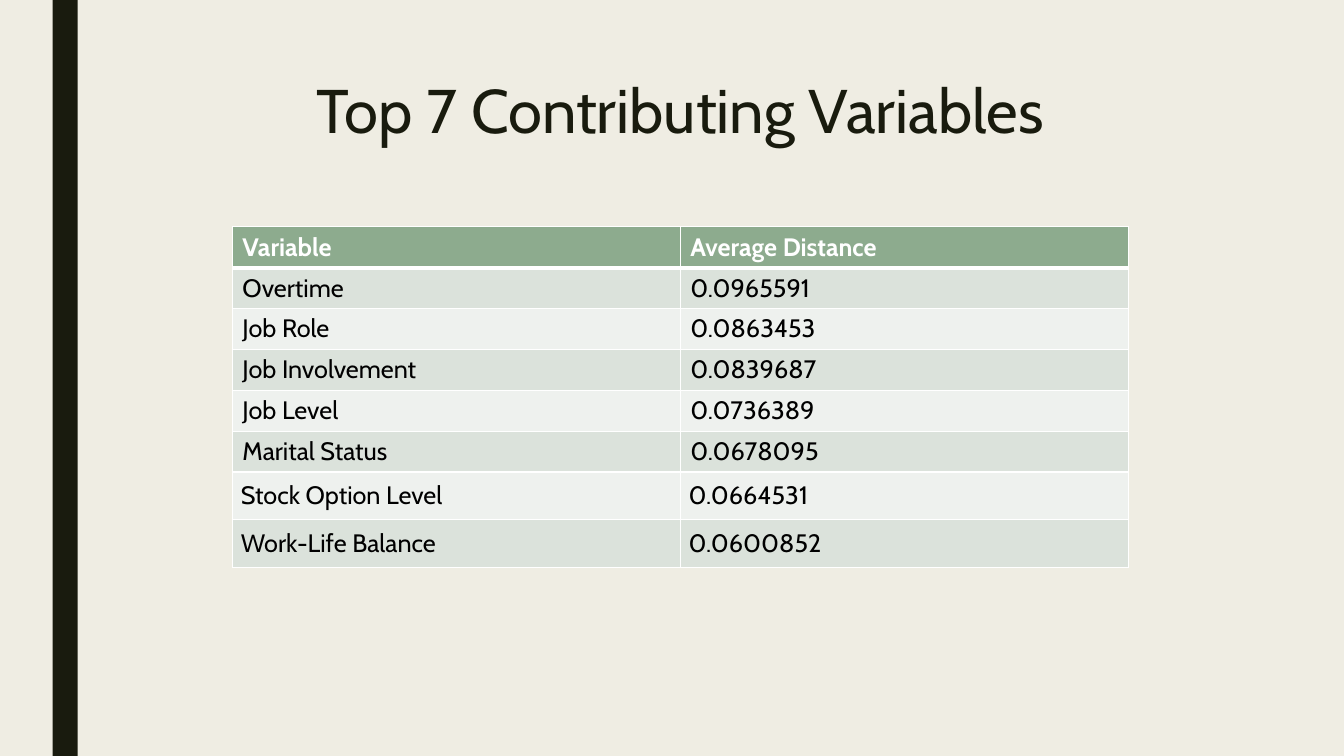
import pptx
import pptx.util
import pptx.dml.color
import pptx.enum.shapes
import pptx.enum.text
import pptx.oxml
import pptx.oxml.ns

Pt = pptx.util.Pt
FONT = "Cabin"
CREAM, DARK, WHITE, BLACK = "EFEDE3", "191B0E", "FFFFFF", "000000"
HEADER_GREEN, BANDS = "8DAB8E", ("DBE2DB", "EEF1EE")

ROWS = [
    ("Variable", "Average Distance"),
    ("Overtime", "0.0965591"),
    ("Job Role", "0.0863453"),
    ("Job Involvement", "0.0839687"),
    ("Job Level", "0.0736389"),
    ("Marital Status", "0.0678095"),
    ("Stock Option Level", "0.0664531"),
    ("Work-Life Balance", "0.0600852"),
]
TALL_ROWS = 2  # the closing rows are taller, with even margins


def paint(color_fill, color):
    color_fill.solid()
    color_fill.fore_color.rgb = pptx.dml.color.RGBColor.from_string(color)


def add_span(para, text, size, color, bold=False):
    span = para.add_run()
    span.text = text
    span.font.name = FONT
    span.font.size = Pt(size)
    span.font.bold = bold
    paint(span.font.fill, color)


def set_borders(cell, widths):
    """Draw white cell borders; widths maps each side to points."""
    properties = cell._tc.get_or_add_tcPr()
    for position, side in enumerate("LRTB"):
        properties.insert(position, pptx.oxml.parse_xml(
            f'<a:ln{side} {pptx.oxml.ns.nsdecls("a")} w="{Pt(widths[side])}">'
            f'<a:solidFill><a:srgbClr val="{WHITE}"/></a:solidFill></a:ln{side}>'))


def add_side_bar(page, box):
    bar = page.shapes.add_shape(
        pptx.enum.shapes.MSO_SHAPE.RECTANGLE, *map(Pt, box))
    bar.shadow.inherit = False
    paint(bar.fill, DARK)
    bar.line.fill.background()


def set_title(page, box, text):
    title = page.shapes.title
    title.left, title.top, title.width, title.height = map(Pt, box)
    frame = title.text_frame
    frame.word_wrap = True
    frame.auto_size = pptx.enum.text.MSO_AUTO_SIZE.NONE
    frame.vertical_anchor = pptx.enum.text.MSO_ANCHOR.TOP
    para = frame.paragraphs[0]
    para.alignment = pptx.enum.text.PP_ALIGN.CENTER
    para.line_spacing = 0.89
    add_span(para, text, 44, DARK)


def add_variable_table(page, box, rows):
    table = page.shapes.add_table(
        len(rows), len(rows[0]), *map(Pt, box)).table
    for column in table.columns:
        column.width = Pt(box[2] / len(rows[0]))
    for index, values in enumerate(rows):
        header = index == 0
        tall = index >= len(rows) - TALL_ROWS
        table.rows[index].height = Pt(34.1 if tall else 29.2)
        for column, value in enumerate(values):
            cell = table.cell(index, column)
            paint(cell.fill, HEADER_GREEN if header else BANDS[(index - 1) % 2])
            set_borders(cell, {"L": 1, "R": 1, "T": 3 if index == 1 else 1,
                               "B": 3 if header else 1})
            if tall:
                cell.margin_left = cell.margin_right = Pt(6)
                cell.margin_top = cell.margin_bottom = Pt(6)
            add_span(cell.text_frame.paragraphs[0], value, 18,
                     WHITE if header else BLACK, header)


deck = pptx.Presentation()
deck.slide_width, deck.slide_height = Pt(960), Pt(540)
page = deck.slides.add_slide(deck.slide_layouts[5])
paint(page.background.fill, CREAM)

# Side bar, title and table
add_side_bar(page, (37.5, 0, 18, 540))
set_title(page, (108, 54, 756, 64), "Top 7 Contributing Variables")
add_variable_table(page, (166, 162, 640, 243.4), ROWS)

deck.save("out.pptx")
